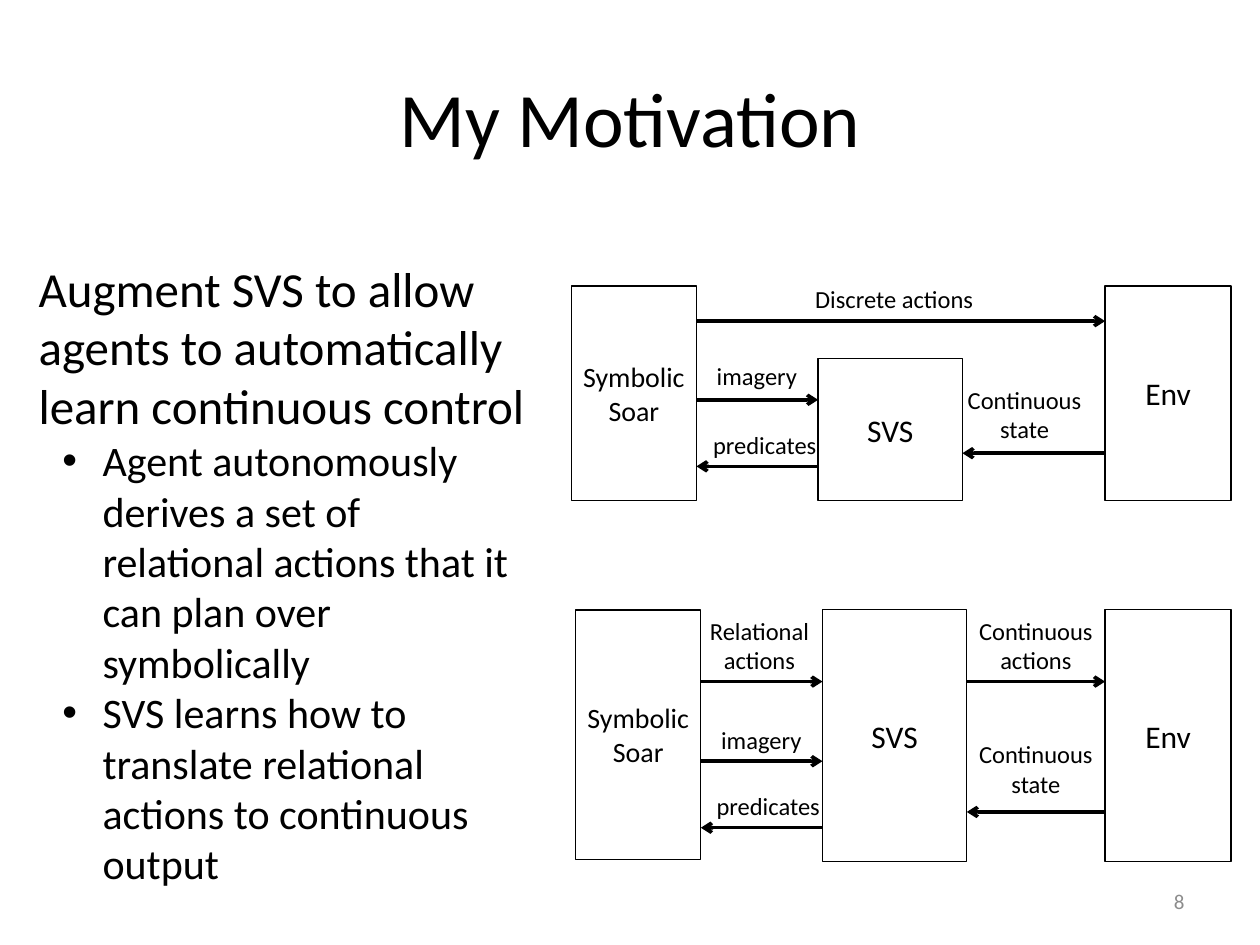
from lxml import etree
from pptx import Presentation
from pptx.dml.color import RGBColor
from pptx.enum import shapes, text
from pptx.oxml import ns
from pptx.util import Pt

FONT = "Calibri"
BLACK = "000000"
TITLE_ONLY = 5

# Horizontal edges shared by the boxes and the arrows
ENV_LEFT, ENV_WIDTH = 631.5, 72
SOAR_WIDTH, SVS_WIDTH = 71.5, 82.5


def color(hex_code):
    return RGBColor.from_string(hex_code)


def style(paragraph, size, align=text.PP_ALIGN.CENTER, hex_code=BLACK):
    paragraph.alignment = align
    paragraph.font.size = Pt(size)
    paragraph.font.name = FONT
    paragraph.font.color.rgb = color(hex_code)


def write_lines(frame, lines, size):
    frame.word_wrap = True
    frame.text = lines
    for paragraph in frame.paragraphs:
        style(paragraph, size)


def add_text_frame(slide, left, top, width, height):
    box = slide.shapes.add_textbox(Pt(left), Pt(top), Pt(width), Pt(height))
    box.text_frame.word_wrap = True
    return box.text_frame


def add_title(slide, wording):
    title = slide.shapes.title
    title.left, title.top, title.width, title.height = Pt(36), Pt(21.6), Pt(648), Pt(90)
    write_lines(title.text_frame, wording, 44)
    title.text_frame.vertical_anchor = text.MSO_ANCHOR.MIDDLE


def add_bullet(paragraph):
    properties = paragraph._p.get_or_add_pPr()
    properties.set("marL", str(Pt(36.5)))
    properties.set("indent", str(Pt(-23)))
    etree.SubElement(properties, ns.qn("a:buFont")).set("typeface", "Arial")
    etree.SubElement(properties, ns.qn("a:buChar")).set("char", "•")


def add_goal(slide, goal, steps):
    frame = add_text_frame(slide, 15, 144, 294.5, 371)
    frame.text = goal
    style(frame.paragraphs[0], 28, text.PP_ALIGN.LEFT)
    for step in steps:
        paragraph = frame.add_paragraph()
        paragraph.text = step
        add_bullet(paragraph)
        style(paragraph, 24, text.PP_ALIGN.LEFT)


def add_module(slide, name, left, top, width, height, size=18, inset=None):
    module = slide.shapes.add_shape(
        shapes.MSO_SHAPE.RECTANGLE, Pt(left), Pt(top), Pt(width), Pt(height))
    module.shadow.inherit = False
    module.fill.background()
    module.line.color.rgb = color(BLACK)
    module.line.width = Pt(0.75)
    frame = module.text_frame
    write_lines(frame, name, size)
    frame.vertical_anchor = text.MSO_ANCHOR.MIDDLE
    if inset is not None:
        frame.margin_left = frame.margin_right = Pt(inset)
        frame.margin_top = frame.margin_bottom = Pt(inset)


def add_flow(slide, start, end, y, label, center, width=78, gap=0):
    """Draw a level arrow with its label resting above it."""
    arrow = slide.shapes.add_connector(
        shapes.MSO_CONNECTOR.STRAIGHT, Pt(start), Pt(y), Pt(end), Pt(y))
    arrow.line.color.rgb = color(BLACK)
    arrow.line.width = Pt(2)
    etree.SubElement(arrow.line._get_or_add_ln(), ns.qn("a:tailEnd")).set("type", "arrow")
    etree.SubElement(arrow._element.spPr, ns.qn("a:effectLst"))

    height = 41 if "\n" in label else 24.5
    frame = add_text_frame(slide, center - width / 2, y - gap - height, width, height)
    write_lines(frame, label, 14)


def add_current_design(slide):
    top, height = 163.5, 122.5
    soar_left, svs_left, svs_top = 326.5, 467.5, 205
    soar_right, svs_right = soar_left + SOAR_WIDTH, svs_left + SVS_WIDTH
    add_module(slide, "Symbolic\nSoar", soar_left, top, SOAR_WIDTH, height, 16, 0)
    add_module(slide, "SVS", svs_left, svs_top, SVS_WIDTH, top + height - svs_top)
    add_module(slide, "Env", ENV_LEFT, top, ENV_WIDTH, height)
    add_flow(slide, soar_right, ENV_LEFT, 183.5, "Discrete actions", 511, 117)
    add_flow(slide, soar_right, svs_left, 228.5, "imagery", 432.5, gap=1.5)
    add_flow(slide, svs_left, soar_right, 266.5, "predicates", 437)
    add_flow(slide, ENV_LEFT, svs_right, 259, "Continuous\nstate", 585.5, 97, 1.5)


def add_proposed_design(slide):
    top, height = 348.5, 144
    soar_left, svs_left = 329, 470
    soar_right, svs_right = soar_left + SOAR_WIDTH, svs_left + SVS_WIDTH
    add_module(slide, "Symbolic\nSoar", soar_left, top, SOAR_WIDTH, 142.5, 16, 0)
    add_module(slide, "SVS", svs_left, top, SVS_WIDTH, height)
    add_module(slide, "Env", ENV_LEFT, top, ENV_WIDTH, height)
    add_flow(slide, soar_right, svs_left, 389.5, "Relational\nactions", 434)
    add_flow(slide, soar_right, svs_left, 435, "imagery", 435)
    add_flow(slide, svs_left, soar_right, 473, "predicates", 439)
    add_flow(slide, svs_right, ENV_LEFT, 389.5, "Continuous\nactions", 592, 97)
    add_flow(slide, ENV_LEFT, svs_right, 464, "Continuous\nstate", 592, 97, 4)


def add_page_number(slide, number):
    frame = add_text_frame(slide, 516, 500.5, 168, 28.75)
    frame.text = number
    frame.vertical_anchor = text.MSO_ANCHOR.MIDDLE
    style(frame.paragraphs[0], 12, text.PP_ALIGN.RIGHT, "8C8C8C")


def main():
    deck = Presentation()
    deck.slide_width, deck.slide_height = Pt(720), Pt(540)
    slide = deck.slides.add_slide(deck.slide_layouts[TITLE_ONLY])
    add_title(slide, "My Motivation")
    add_goal(slide, "Augment SVS to allow agents to automatically learn continuous control", [
        "Agent autonomously derives a set of relational actions that it can plan over symbolically",
        "SVS learns how to translate relational actions to continuous output",
    ])
    add_current_design(slide)
    add_proposed_design(slide)
    add_page_number(slide, "8")
    deck.save("out.pptx")


if __name__ == "__main__":
    main()
